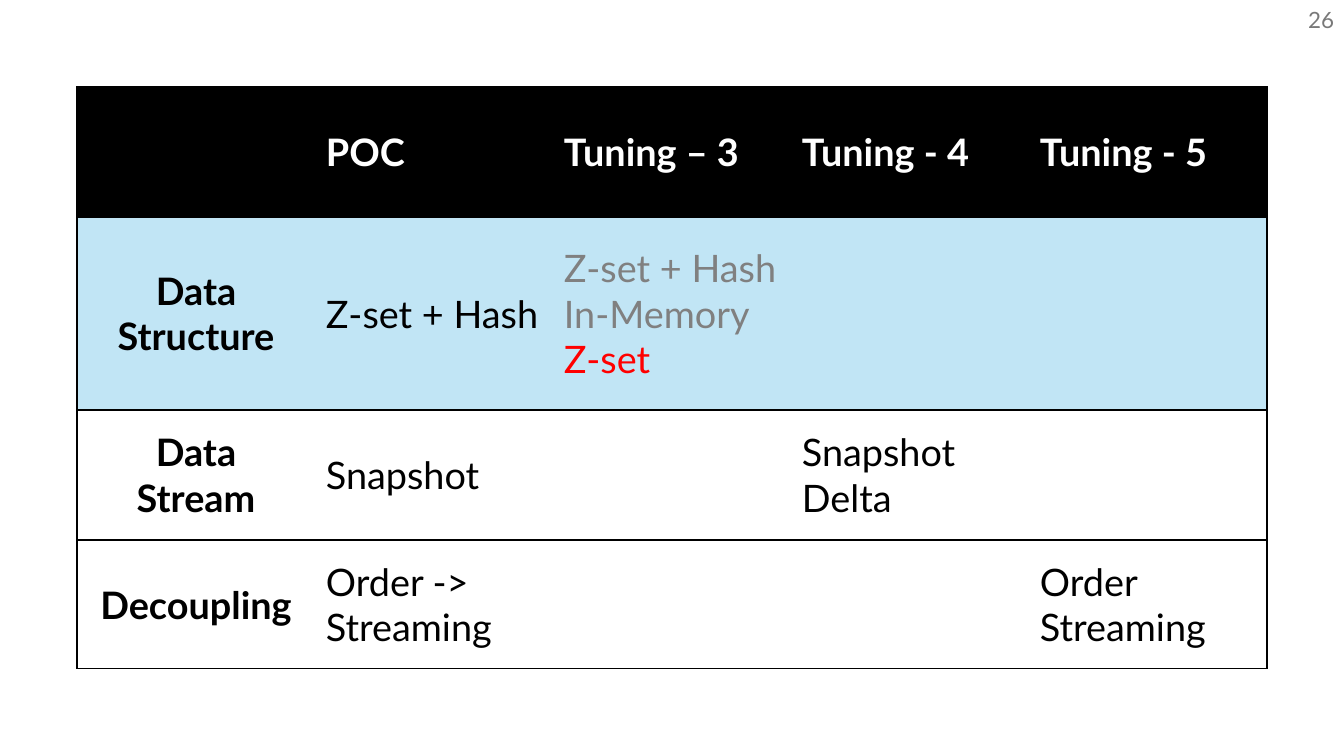
from lxml import etree
from pptx import Presentation
from pptx.dml.color import RGBColor
from pptx.enum.text import MSO_ANCHOR, PP_ALIGN
from pptx.oxml.ns import qn
from pptx.util import Pt

MIDDLE = MSO_ANCHOR.MIDDLE
LEFT, CENTER, RIGHT = PP_ALIGN.LEFT, PP_ALIGN.CENTER, PP_ALIGN.RIGHT
PX = 12192000 / 1344
FONT = "Lato"
COLORS = {
    "black": "000000",
    "white": "FFFFFF",
    "sky": "C1E5F5",
    "gray": "808080",
    "red": "FF0000",
    "number": "797979",
}


def px(length):
    return round(length * PX)


def write(paragraph, text, size, color, bold, align):
    paragraph.alignment = align
    run = paragraph.add_run()
    run.text = text
    run.font.name = FONT
    run.font.size = Pt(size)
    run.font.bold = bold
    run.font.color.rgb = RGBColor.from_string(COLORS[color])


deck = Presentation()
deck.slide_width, deck.slide_height = px(1344), px(756)
slide = deck.slides.add_slide(deck.slide_layouts[6])

stages = [
    ["", "POC", "Tuning – 3", "Tuning - 4", "Tuning - 5"],
    ["Data Structure", "Z-set + Hash", "Z-set + Hash\nIn-Memory\nZ-set", "", ""],
    ["Data\nStream", "Snapshot", "", "Snapshot\nDelta", ""],
    ["Decoupling", "Order -> Streaming", "", "", "Order\nStreaming"],
]
line_colors = {(1, 2): ["gray", "gray", "red"]}
row_heights = [130, 193, 130, 129]
row_fills = ["black", "sky", None, None]
column_width = 238
last_column = len(stages[0]) - 1

comparison = slide.shapes.add_table(
    len(stages), len(stages[0]), px(77), px(87),
    px(column_width * len(stages[0])), px(sum(row_heights)),
).table
for column in comparison.columns:
    column.width = px(column_width)

for r, (entries, height, fill) in enumerate(zip(stages, row_heights, row_fills)):
    comparison.rows[r].height = px(height)
    for c, entry in enumerate(entries):
        cell = comparison.cell(r, c)
        cell.vertical_anchor = MIDDLE
        cell.margin_left = cell.margin_right = px(11)
        cell.margin_top = cell.margin_bottom = px(6)

        borders = {"a:lnL": c == 0, "a:lnR": c == last_column, "a:lnT": True, "a:lnB": True}
        properties = cell._tc.get_or_add_tcPr()
        for tag, visible in borders.items():
            border = etree.SubElement(properties, qn(tag), w=str(Pt(1)))
            if visible:
                paint = etree.SubElement(border, qn("a:solidFill"))
                etree.SubElement(paint, qn("a:srgbClr"), val=COLORS["black"])
            else:
                etree.SubElement(border, qn("a:noFill"))

        if fill:
            cell.fill.solid()
            cell.fill.fore_color.rgb = RGBColor.from_string(COLORS[fill])
        else:
            cell.fill.background()

        if not entry:
            continue
        lines = entry.split("\n")
        default_color = "white" if r == 0 else "black"
        colors = line_colors.get((r, c), [default_color] * len(lines))
        for i, (line, color) in enumerate(zip(lines, colors)):
            frame = cell.text_frame
            paragraph = frame.add_paragraph() if i else frame.paragraphs[0]
            write(paragraph, line, 27, color, r == 0 or c == 0, LEFT if c else CENTER)

page_number = slide.shapes.add_textbox(px(1042), 0, px(302), px(40)).text_frame
page_number.word_wrap = True
page_number.vertical_anchor = MIDDLE
write(page_number.paragraphs[0], "26", 16, "number", False, RIGHT)

deck.save("out.pptx")
